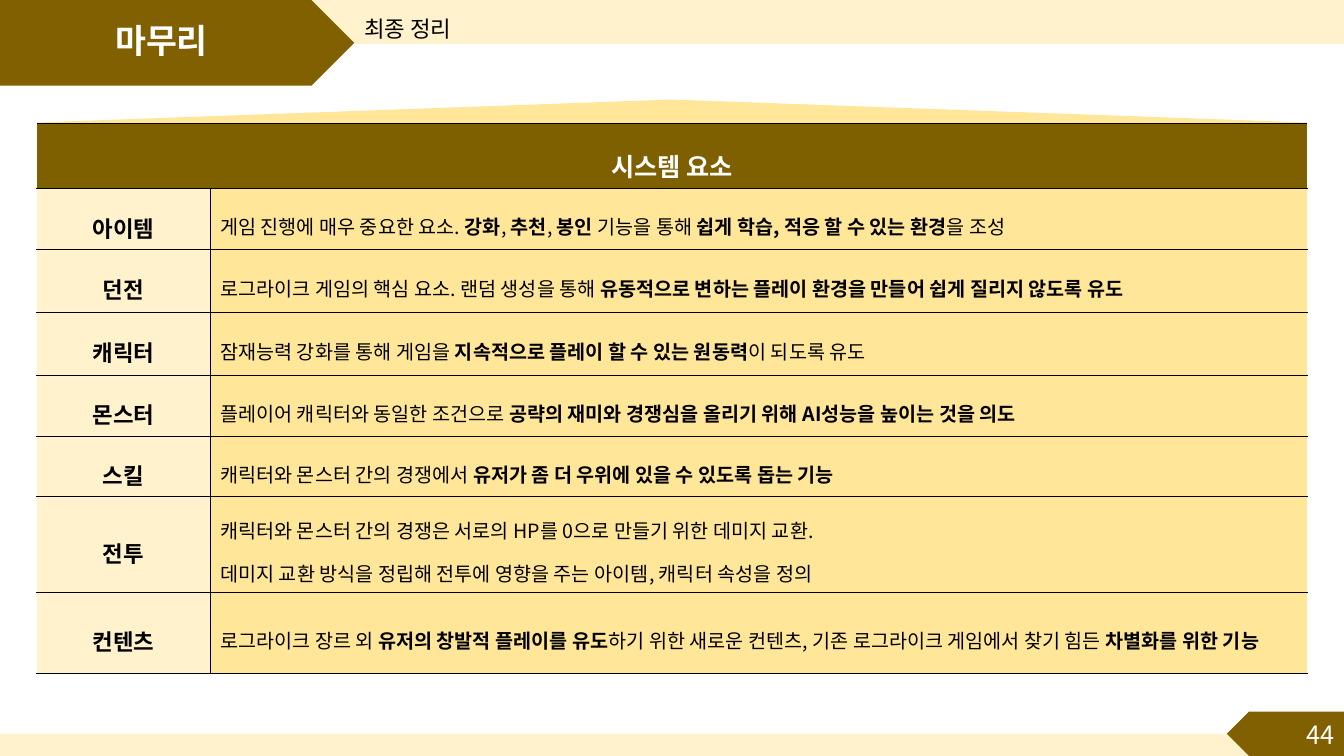
from lxml.etree import SubElement, fromstring
from pptx import Presentation
from pptx.dml.color import RGBColor
from pptx.enum.shapes import MSO_SHAPE
from pptx.enum.text import MSO_ANCHOR, PP_ALIGN
from pptx.oxml.ns import nsdecls, qn
from pptx.util import Cm, Pt

FONT = "Noto Sans CJK KR"
COLORS = {
    "brown": "806000",
    "header": "7F6000",
    "cream": "FFF2CC",
    "gold": "FFE699",
    "black": "000000",
    "white": "FFFFFF",
}


def write_text(frame, text, size=14, color="black", bold=False,
               align=PP_ALIGN.LEFT, spacing=None):
    frame.word_wrap = True
    for number, line in enumerate(text.split("\n")):
        paragraph = frame.add_paragraph() if number else frame.paragraphs[0]
        paragraph.alignment = align
        paragraph.line_spacing = spacing
        for index, part in enumerate(line.split("**")):
            if not part:
                continue
            run = paragraph.add_run()
            run.text = part
            run.font.size = Pt(size)
            run.font.bold = bold or index % 2 == 1
            run.font.color.rgb = RGBColor.from_string(COLORS[color])
            run.font.name = FONT
            run.font._element.set("kern", "0")
            SubElement(run.font._element, qn("a:ea"), typeface=FONT)


def style_cell(cell, fill, left, right):
    cell.vertical_anchor = MSO_ANCHOR.MIDDLE
    cell.fill.solid()
    cell.fill.fore_color.rgb = RGBColor.from_string(COLORS[fill])
    borders = {"lnL": left, "lnR": right, "lnT": "black", "lnB": "black"}
    properties = cell._tc.get_or_add_tcPr()
    for position, (side, color) in enumerate(borders.items()):
        properties.insert(position, fromstring(
            f'<a:{side} {nsdecls("a")} w="12700"><a:solidFill>'
            f'<a:srgbClr val="{COLORS[color]}"/></a:solidFill></a:{side}>'))


presentation = Presentation()
presentation.slide_width = Cm(33.87)
presentation.slide_height = Cm(19.05)
slide = presentation.slides.add_slide(presentation.slide_layouts[6])

backdrop = [
    (MSO_SHAPE.RECTANGLE, 0, 0, 33.87, 1.11, 0, "cream"),
    (MSO_SHAPE.PENTAGON, 0, 0, 8.93, 2.16, 0, "brown"),
    (MSO_SHAPE.RECTANGLE, 0, 18.49, 33.87, 0.56, 180, "cream"),
    (MSO_SHAPE.PENTAGON, 30.92, 17.93, 2.95, 1.12, 180, "brown"),
    (MSO_SHAPE.HEXAGON, 9.7, -6.28, 14.45, 32.03, 90, "gold"),
]
for kind, left, top, width, height, rotation, color in backdrop:
    shape = slide.shapes.add_shape(kind, Cm(left), Cm(top), Cm(width), Cm(height))
    shape.rotation = rotation
    shape.shadow.inherit = False
    shape.fill.solid()
    shape.fill.fore_color.rgb = RGBColor.from_string(COLORS[color])
    shape.line.fill.background()
    if kind == MSO_SHAPE.HEXAGON:
        shape.adjustments[0] = 0.04

labels = [
    ("마무리", 0.3, 0, 7.54, 2.16, MSO_ANCHOR.MIDDLE,
     dict(size=24, color="white", bold=True, align=PP_ALIGN.CENTER, spacing=0.9)),
    ("44", 29.23, 18.01, 4.65, 1.02, MSO_ANCHOR.TOP,
     dict(size=18, color="white", align=PP_ALIGN.RIGHT)),
    ("최종 정리", 8.93, 0, 24.03, 1.09, MSO_ANCHOR.MIDDLE,
     dict(size=16, spacing=1.5)),
]
for text, left, top, width, height, anchor, text_format in labels:
    text_box = slide.shapes.add_textbox(Cm(left), Cm(top), Cm(width), Cm(height))
    text_box.text_frame.vertical_anchor = anchor
    write_text(text_box.text_frame, text, **text_format)

elements = [
    ("아이템", 1.53, "게임 진행에 매우 중요한 요소. **강화**, **추천**, **봉인** 기능을 통해 "
     "**쉽게 학습, 적응 할 수 있는 환경**을 조성"),
    ("던전", 1.58, "로그라이크 게임의 핵심 요소. 랜덤 생성을 통해 "
     "**유동적으로 변하는 플레이 환경을 만들어 쉽게 질리지 않도록 유도**"),
    ("캐릭터", 1.59, "잠재능력 강화를 통해 게임을 "
     "**지속적으로 플레이 할 수 있는 원동력**이 되도록 유도"),
    ("몬스터", 1.53, "플레이어 캐릭터와 동일한 조건으로 "
     "**공략의 재미와 경쟁심을 올리기 위해 AI성능을 높이는 것을 의도**"),
    ("스킬", 1.52, "캐릭터와 몬스터 간의 경쟁에서 "
     "**유저가 좀 더 우위에 있을 수 있도록 돕는 기능**"),
    ("전투", 2.42, "캐릭터와 몬스터 간의 경쟁은 서로의 HP를 0으로 만들기 위한 데미지 교환.\n"
     "데미지 교환 방식을 정립해 전투에 영향을 주는 아이템, 캐릭터 속성을 정의"),
    ("컨텐츠", 2.05, "로그라이크 장르 외 **유저의 창발적 플레이를 유도**하기 위한 새로운 컨텐츠, "
     "기존 로그라이크 게임에서 찾기 힘든 **차별화를 위한 기능**"),
]
table = slide.shapes.add_table(
    len(elements) + 1, 2, Cm(0.92), Cm(3.12), Cm(32.03), Cm(13.86)).table
table.columns[0].width = Cm(4.38)
table.columns[1].width = Cm(27.65)
table.rows[0].height = Cm(1.64)

header = table.cell(0, 0)
header.merge(table.cell(0, 1))
for cell in table.rows[0].cells:
    style_cell(cell, "header", "white", "white")
write_text(header.text_frame, "시스템 요소", size=18, color="white", bold=True,
           align=PP_ALIGN.CENTER, spacing=1.5)

for row, (name, height, description) in enumerate(elements, start=1):
    table.rows[row].height = Cm(height)
    name_cell, description_cell = table.rows[row].cells
    style_cell(name_cell, "cream", "white", "black")
    write_text(name_cell.text_frame, name, size=16, bold=True,
               align=PP_ALIGN.CENTER, spacing=1.5)
    style_cell(description_cell, "gold", "black", "white")
    write_text(description_cell.text_frame, description, spacing=1.5)

presentation.save("out.pptx")
